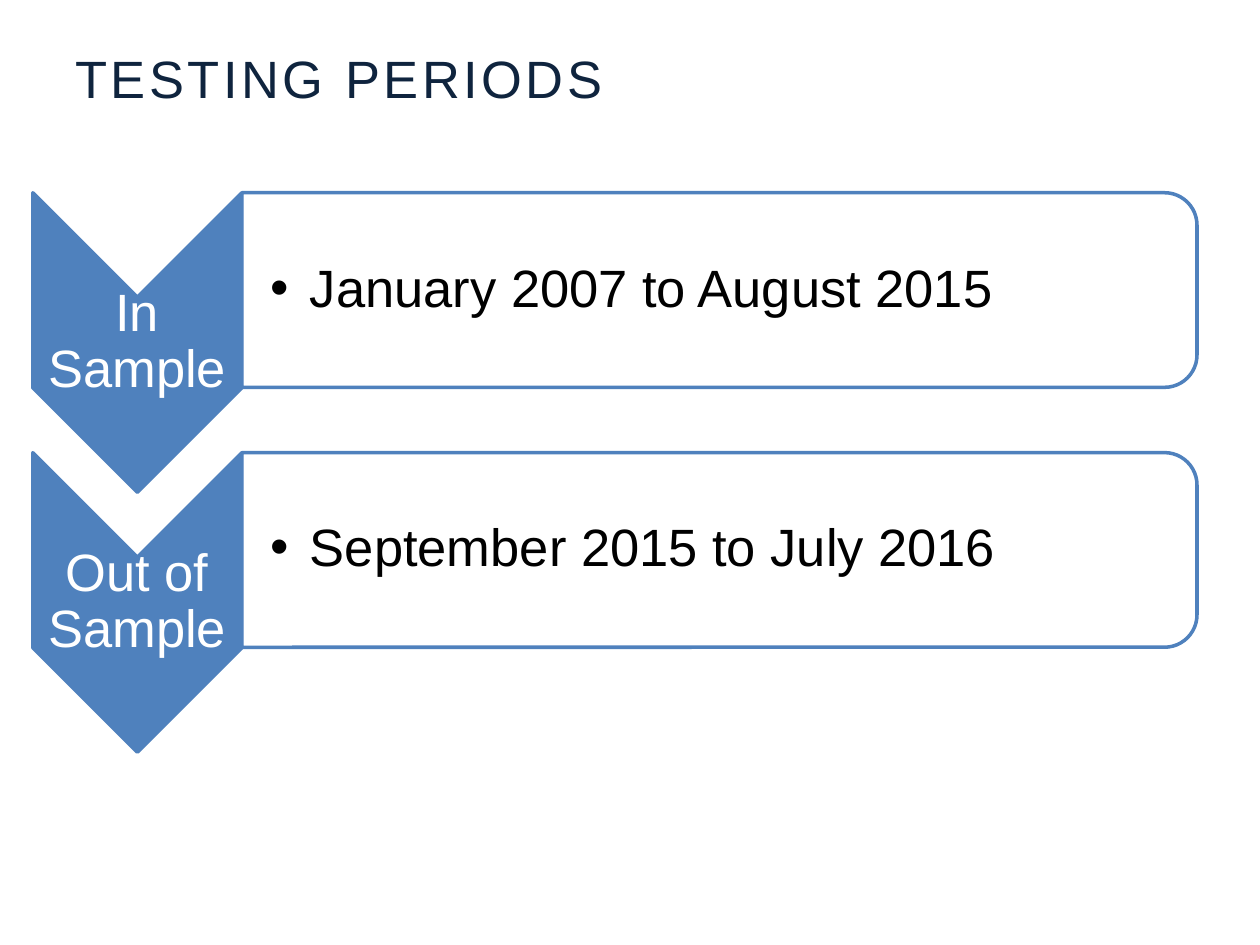
from lxml import etree
from pptx import Presentation, util as u
from pptx.dml.color import RGBColor
from pptx.enum import shapes, text
from pptx.oxml import ns

NAVY = RGBColor(0x0F, 0x24, 0x3E)
BLUE = RGBColor(0x4F, 0x81, 0xBD)
WHITE = RGBColor(0xFF, 0xFF, 0xFF)
BLACK = RGBColor(0, 0, 0)

WIDTH, HEIGHT = u.Inches(10), u.Inches(7.5)
COLUMN, ROW = WIDTH // 100, HEIGHT // 100
INSET = u.Inches(0.02)

PERIODS = [
    ("In Sample", "January 2007 to August 2015"),
    ("Out of Sample", "September 2015 to July 2016"),
]


def add_label(parent, box, wording, color, inset=None):
    label = parent.add_textbox(*box)
    frame = label.text_frame
    frame.word_wrap = True
    frame.vertical_anchor = text.MSO_ANCHOR.MIDDLE
    if inset is not None:
        frame.margin_left = frame.margin_right = inset
        frame.margin_top = frame.margin_bottom = inset
    frame.text = wording
    font = frame.paragraphs[0].runs[0].font
    font.name, font.size, font.color.rgb = "Arial", u.Pt(30), color
    return frame


def add_turned(parent, kind, box, fill):
    left, top, width, height = box
    shift = (width - height) // 2
    turned = parent.add_shape(kind, left + shift, top - shift, height, width)
    turned.rotation = 90
    turned.shadow.inherit = False
    turned.fill.solid()
    turned.fill.fore_color.rgb = fill
    turned.line.color.rgb = BLUE
    turned.line.width = u.Pt(2)
    return turned


def add_title(slide, box):
    title = add_label(slide.shapes, box, "TESTING PERIODS", NAVY)
    title.paragraphs[0].runs[0].font._element.set("spc", "200")


def add_stage(parent, box, stage):
    left, top, width, height = box
    add_turned(parent, shapes.MSO_SHAPE.CHEVRON, box, BLUE)
    label_box = (left, top + width // 2, width, height - width)
    label = add_label(parent, label_box, stage, WHITE, INSET)
    label.paragraphs[0].alignment = text.PP_ALIGN.CENTER
    label.paragraphs[0].line_spacing = 0.9


def add_dates(parent, box, dates):
    left, top, width, height = box
    panel = add_turned(parent, shapes.MSO_SHAPE.ROUND_2_SAME_RECTANGLE, box, WHITE)
    color = panel.fill._xPr.find(ns.qn("a:solidFill"))[0]
    etree.SubElement(color, ns.qn("a:alpha"), val="90000")
    label_box = (left, top + ROW, width - ROW, height - 2 * ROW)
    label = add_label(parent, label_box, dates, BLACK, INSET)
    label.margin_left = u.Inches(0.23)
    paragraph = label.paragraphs[0]
    paragraph.line_spacing = 0.9
    properties = paragraph._p.get_or_add_pPr()
    indent = u.Inches(0.31)
    properties.set("marL", str(indent))
    properties.set("indent", str(-indent))
    etree.SubElement(properties, ns.qn("a:buFont"), typeface="Arial")
    etree.SubElement(properties, ns.qn("a:buChar"), char="•")


def add_periods(slide, box):
    left, top, width, pitch = box
    group = slide.shapes.add_group_shape().shapes
    stage_width = int(16.6 * COLUMN)
    for index, (stage, dates) in enumerate(PERIODS):
        period_top = top + index * pitch
        add_stage(group, (left, period_top, stage_width, int(31.7 * ROW)), stage)
        dates_box = (left + stage_width, period_top, width - stage_width, int(20.6 * ROW))
        add_dates(group, dates_box, dates)


def main():
    deck = Presentation()
    deck.slide_width, deck.slide_height = WIDTH, HEIGHT
    slide = deck.slides.add_slide(deck.slide_layouts[6])
    add_title(slide, (5 * COLUMN, int(2.5 * ROW), 90 * COLUMN, int(11.3 * ROW)))
    add_periods(slide, (int(2.6 * COLUMN), int(20.4 * ROW), int(92.4 * COLUMN), int(27.5 * ROW)))
    deck.save("out.pptx")


if __name__ == "__main__":
    main()
